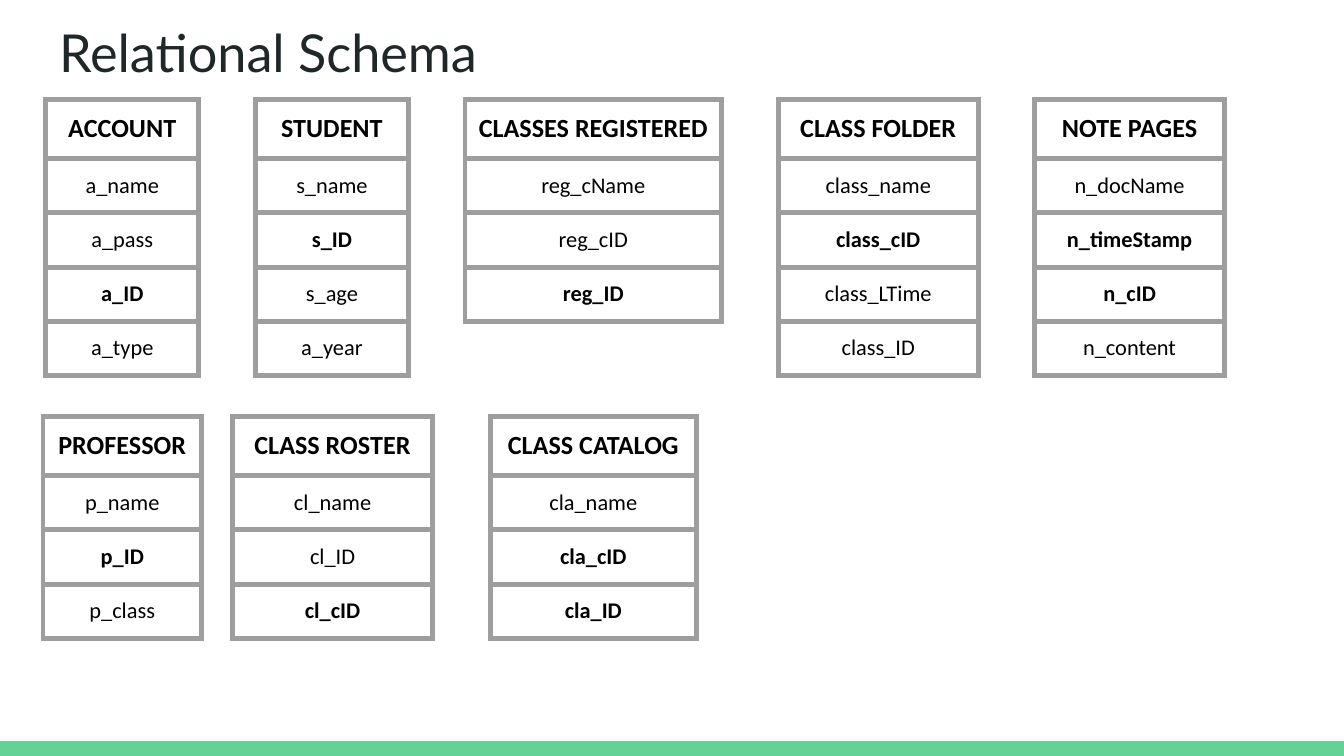
from lxml.etree import SubElement
from pptx import Presentation
from pptx.dml.color import RGBColor
from pptx.enum.shapes import MSO_SHAPE as Shape
from pptx.enum.text import MSO_ANCHOR as Anchor, PP_ALIGN as Align
from pptx.oxml.ns import qn
from pptx.util import Inches, Pt

TITLE = "Relational Schema"
# top of each row of tables: (left, width, name, fields, key fields)
ROWS = {
    0.74: [
        (0.34, 1.14, "ACCOUNT", ["a_name", "a_pass", "a_ID", "a_type"], {"a_ID"}),
        (1.9, 1.14, "STUDENT", ["s_name", "s_ID", "s_age", "a_year"], {"s_ID"}),
        (3.46, 1.91, "CLASSES REGISTERED", ["reg_cName", "reg_cID", "reg_ID"],
         {"reg_ID"}),
        (5.79, 1.49, "CLASS FOLDER",
         ["class_name", "class_cID", "class_LTime", "class_ID"], {"class_cID"}),
        (7.7, 1.41, "NOTE PAGES",
         ["n_docName", "n_timeStamp", "n_cID", "n_content"],
         {"n_timeStamp", "n_cID"}),
    ],
    3.1: [
        (0.32, 1.18, "PROFESSOR", ["p_name", "p_ID", "p_class"], {"p_ID"}),
        (1.73, 1.49, "CLASS ROSTER", ["cl_name", "cl_ID", "cl_cID"], {"cl_cID"}),
        (3.65, 1.53, "CLASS CATALOG", ["cla_name", "cla_cID", "cla_ID"],
         {"cla_cID", "cla_ID"}),
    ],
}
HEAD, FIELD = 0.44, 0.4
GREEN, GREY, INK, BLACK = "63D297", "9E9E9E", "202729", "000000"


def color(code):
    return RGBColor.from_string(code)


def style(par, font, size, code, bold=False):
    par.font.name = font
    par.font.size = Pt(size)
    par.font.bold = bold
    par.font.color.rgb = color(code)


def pad(box):
    box.margin_left = box.margin_right = Inches(0.1)
    box.margin_top = box.margin_bottom = Inches(0.1)


def border(cell, code, width):
    """Draw all four sides; the lines must come before the cell's fill."""
    props = cell._tc.get_or_add_tcPr()
    for pos, side in enumerate(("lnL", "lnR", "lnT", "lnB")):
        line = SubElement(props, qn(f"a:{side}"), w=str(Pt(width)))
        fill = SubElement(line, qn("a:solidFill"))
        SubElement(fill, qn("a:srgbClr"), val=code)
        props.insert(pos, line)


def add_entity(slide, left, top, width, name, fields, keys):
    height = HEAD + FIELD * len(fields)
    table = slide.shapes.add_table(
        len(fields) + 1, 1, Inches(left), Inches(top),
        Inches(width), Inches(height)).table
    table.first_row = table.horz_banding = False
    for i, text in enumerate([name, *fields]):
        head = i == 0
        table.rows[i].height = Inches(HEAD if head else FIELD)
        cell = table.cell(i, 0)
        cell.text = text
        cell.fill.background()
        pad(cell)
        border(cell, GREY, 3)
        par = cell.text_frame.paragraphs[0]
        par.alignment = Align.CENTER
        style(par, "Calibri", 14 if head else 12, BLACK, head or text in keys)


deck = Presentation()
deck.slide_width = Inches(10)
deck.slide_height = deck.slide_width * 9 // 16
slide = deck.slides.add_slide(deck.slide_layouts[5])

bar_height = Inches(0.11)
bar = slide.shapes.add_shape(
    Shape.RECTANGLE, 0, deck.slide_height - bar_height,
    deck.slide_width, bar_height)
bar.shadow.inherit = False
bar.fill.solid()
bar.fill.fore_color.rgb = color(GREEN)
bar.line.fill.background()

title = slide.shapes.title
title.left, title.top = Inches(0.34), Inches(0.05)
title.width, title.height = Inches(9.32), Inches(0.63)
frame = title.text_frame
frame.text = TITLE
frame.vertical_anchor = Anchor.TOP
pad(frame)
frame.paragraphs[0].alignment = Align.LEFT
style(frame.paragraphs[0], "Lato", 28, INK)

for top, tables in ROWS.items():
    for left, width, name, fields, keys in tables:
        add_entity(slide, left, top, width, name, fields, keys)

deck.save("out.pptx")
